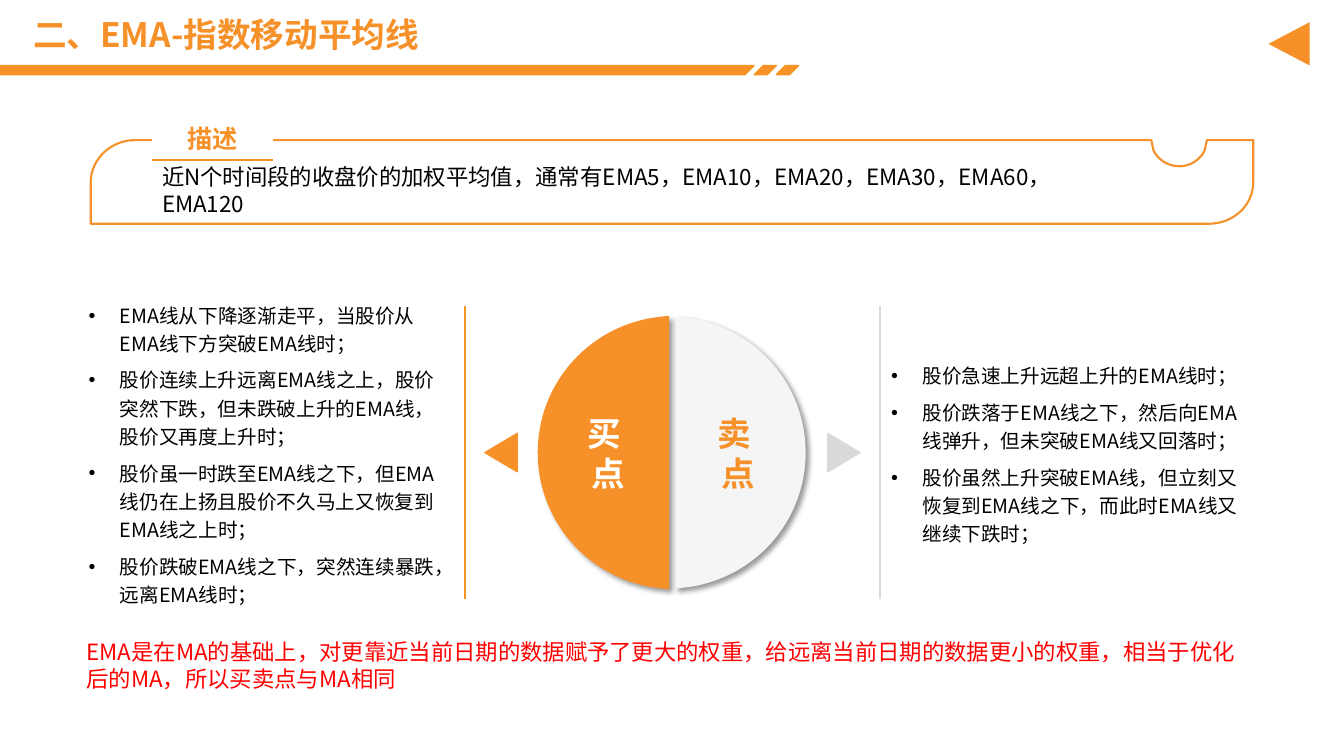
from lxml.etree import SubElement
from pptx import Presentation
from pptx.dml.color import RGBColor
from pptx.enum.shapes import MSO_CONNECTOR, MSO_SHAPE
from pptx.enum.text import MSO_ANCHOR, PP_ALIGN
from pptx.oxml.ns import qn
from pptx.util import Inches, Pt

FONT = "Noto Sans CJK SC"
ORANGE, DEEP_ORANGE, GREY = "F69129", "F69621", "D9D9D9"
color = RGBColor.from_string

presentation = Presentation()
presentation.slide_width, presentation.slide_height = Inches(13.33), Inches(7.5)
slide = presentation.slides.add_slide(presentation.slide_layouts[6])
shapes = slide.shapes


def draw_outline(segments, fill, line, width=1):
    corners = [(Inches(x), Inches(y)) for segment in segments for x, y in segment]
    builder = shapes.build_freeform(*corners[0])
    builder.add_line_segments(corners[1:], close=True)
    shape = builder.convert_to_shape()
    line_steps = iter(list(shape._element.iter(qn("a:lnTo"))))
    for segment in segments[1:]:
        steps = [next(line_steps) for point in segment]
        if len(steps) == 3:
            curve = SubElement(steps[0].getparent(), qn("a:cubicBezTo"))
            steps[0].addprevious(curve)
            for step in steps:
                curve.append(step[0])
                step.getparent().remove(step)
    shape.shadow.inherit = False
    for part, value in ((shape.fill, fill), (shape.line.fill, line)):
        if value:
            part.solid()
            part.fore_color.rgb = color(value)
        else:
            part.background()
    if line:
        shape.line.width = Pt(width)
    return shape


def write_text(shape, lines, size, text_color, bold=False, align=PP_ALIGN.LEFT, bottom=0.05):
    frame = shape.text_frame
    frame.word_wrap = True
    frame.vertical_anchor = MSO_ANCHOR.MIDDLE
    frame.margin_bottom = Inches(bottom)
    frame.text = "\n".join(lines)
    for paragraph in frame.paragraphs:
        paragraph.alignment = align
        for run in paragraph.runs:
            run.font.name = FONT
            run.font.size = Pt(size)
            run.font.bold = bold
            run.font.color.rgb = color(text_color)
            SubElement(run.font._element, qn("a:ea"), typeface=FONT)
    return frame


for left, right, slant in ((7.48, 7.7, 0.09), (0, 7.48, 0), (7.7, 7.92, 0.09)):
    bar = [[(left + slant, 0.65)], [(right, 0.65)], [(right - 0.09, 0.74)], [(left, 0.74)]]
    draw_outline(bar, ORANGE, DEEP_ORANGE)

title = shapes.add_textbox(Inches(0.23), Inches(0.15), Inches(12.19), Inches(0.43))
write_text(title, ["二、EMA-指数移动平均线"], 24, ORANGE, bold=True)
title.text_frame.paragraphs[0].line_spacing = 0.9

triangles = [
    (12.57, 0.23, 0.43, 0.41, 270, ORANGE, False),
    (4.78, 4.33, 0.38, 0.32, 270, ORANGE, True),
    (8.18, 4.33, 0.38, 0.32, 90, GREY, True),
]
for left, top, width, height, rotation, fill, outlined in triangles:
    triangle = shapes.add_shape(
        MSO_SHAPE.ISOSCELES_TRIANGLE, Inches(left), Inches(top), Inches(width), Inches(height))
    triangle.rotation = rotation
    triangle.shadow.inherit = False
    triangle.fill.solid()
    triangle.fill.fore_color.rgb = color(fill)
    if outlined:
        triangle.line.color.rgb = color(fill)
        triangle.line.width = Pt(1)
    else:
        triangle.line.fill.background()

notes = [
    (1.51, 1.73, 9.46, 0.34, "000000",
     "近N个时间段的收盘价的加权平均值，通常有EMA5，EMA10，EMA20，EMA30，EMA60，EMA120"),
    (0.76, 6.33, 11.81, 0.56, "FF0000",
     "EMA是在MA的基础上，对更靠近当前日期的数据赋予了更大的权重，给远离当前日期的数据更小的权重，"
     "相当于优化后的MA，所以买卖点与MA相同"),
]
for left, top, width, height, text_color, text in notes:
    note = shapes.add_textbox(Inches(left), Inches(top), Inches(width), Inches(height))
    write_text(note, [text], 16, text_color, bottom=0.08)

description_frame = [
    [(1.34, 1.39)],
    [(11.42, 1.39)],
    [(11.44, 1.49)],
    [(11.48, 1.58), (11.58, 1.65), (11.7, 1.65)],
    [(11.81, 1.65), (11.91, 1.58), (11.95, 1.49)],
    [(11.97, 1.39)],
    [(12.43, 1.39)],
    [(12.43, 1.81)],
    [(12.43, 2.04), (12.23, 2.22), (11.99, 2.22)],
    [(0.9, 2.22)],
    [(0.9, 1.81)],
    [(0.9, 1.58), (1.1, 1.39), (1.34, 1.39)],
]
draw_outline(description_frame, None, ORANGE, 1.5)

label = shapes.add_shape(MSO_SHAPE.RECTANGLE, Inches(1.51), Inches(1.16), Inches(1.2), Inches(0.43))
label.shadow.inherit = False
label.fill.solid()
label.fill.fore_color.rgb = color("FFFFFF")
label.line.fill.background()
write_text(label, ["描述"], 18, ORANGE, bold=True, align=PP_ALIGN.CENTER)

half_disc = [
    [(0, 3.14)],
    [(0, 5.84)],
    [(0.08, 5.83)],
    [(0.76, 5.76), (1.29, 5.19), (1.29, 4.49)],
    [(1.29, 3.79), (0.76, 3.22), (0.08, 3.15)],
]
halves = [
    (6.63, -1, ORANGE, ORANGE, 5.43, "买 ", "FFFFFF"),
    (6.7, 1, "F5F5F5", None, 6.72, "卖 ", ORANGE),
]
for edge, side, fill, line, text_left, word, text_color in halves:
    segments = [[(edge + side * x, y) for x, y in segment] for segment in half_disc]
    half = draw_outline(segments, fill, line)
    effects = half._element.spPr.find(qn("a:effectLst"))
    shadow = SubElement(effects, qn("a:outerShdw"), blurRad=str(Pt(4)), dist=str(Pt(3)),
                        dir="2700000", algn="tl", rotWithShape="0")
    shade = SubElement(shadow, qn("a:srgbClr"), val="000000")
    SubElement(shade, qn("a:alpha"), val="40000")
    caption = shapes.add_textbox(Inches(text_left), Inches(3.99), Inches(1.2), Inches(1.01))
    write_text(caption, [word, "点"], 24, text_color, bold=True, align=PP_ALIGN.CENTER)

rules = [
    (1.51, 1.59, 2.71, 1.59, ORANGE),
    (4.61, 3.04, 4.61, 5.94, DEEP_ORANGE),
    (8.73, 3.04, 8.73, 5.94, GREY),
]
for start_x, start_y, end_x, end_y, line in rules:
    rule = shapes.add_connector(
        MSO_CONNECTOR.STRAIGHT, Inches(start_x), Inches(start_y), Inches(end_x), Inches(end_y))
    rule.line.color.rgb = color(line)
    rule.line.width = Pt(1.5)
    SubElement(rule._element.spPr, qn("a:effectLst"))

signals = [
    (0.78, 3.82, [
        "EMA线从下降逐渐走平，当股价从EMA线下方突破EMA线时；",
        "股价连续上升远离EMA线之上，股价突然下跌，但未跌破上升的EMA线，股价又再度上升时；",
        "股价虽一时跌至EMA线之下，但EMA线仍在上扬且股价不久马上又恢复到EMA线之上时；",
        "股价跌破EMA线之下，突然连续暴跌，远离EMA线时；",
    ]),
    (8.74, 3.81, [
        "股价急速上升远超上升的EMA线时；",
        "股价跌落于EMA线之下，然后向EMA线弹升，但未突破EMA线又回落时；",
        "股价虽然上升突破EMA线，但立刻又恢复到EMA线之下，而此时EMA线又继续下跌时；",
    ]),
]
for left, width, lines in signals:
    signal_box = shapes.add_textbox(Inches(left), Inches(3.01), Inches(width), Inches(2.96))
    for paragraph in write_text(signal_box, lines, 14, "000000").paragraphs:
        properties = paragraph._p.get_or_add_pPr()
        properties.set("marL", str(Inches(0.31)))
        properties.set("indent", str(Inches(-0.31)))
        SubElement(properties, qn("a:buFont"), typeface="Arial")
        SubElement(properties, qn("a:buChar"), char="•")
        paragraph.line_spacing = 1.2
        paragraph.space_after = Pt(6)

presentation.save("out.pptx")
